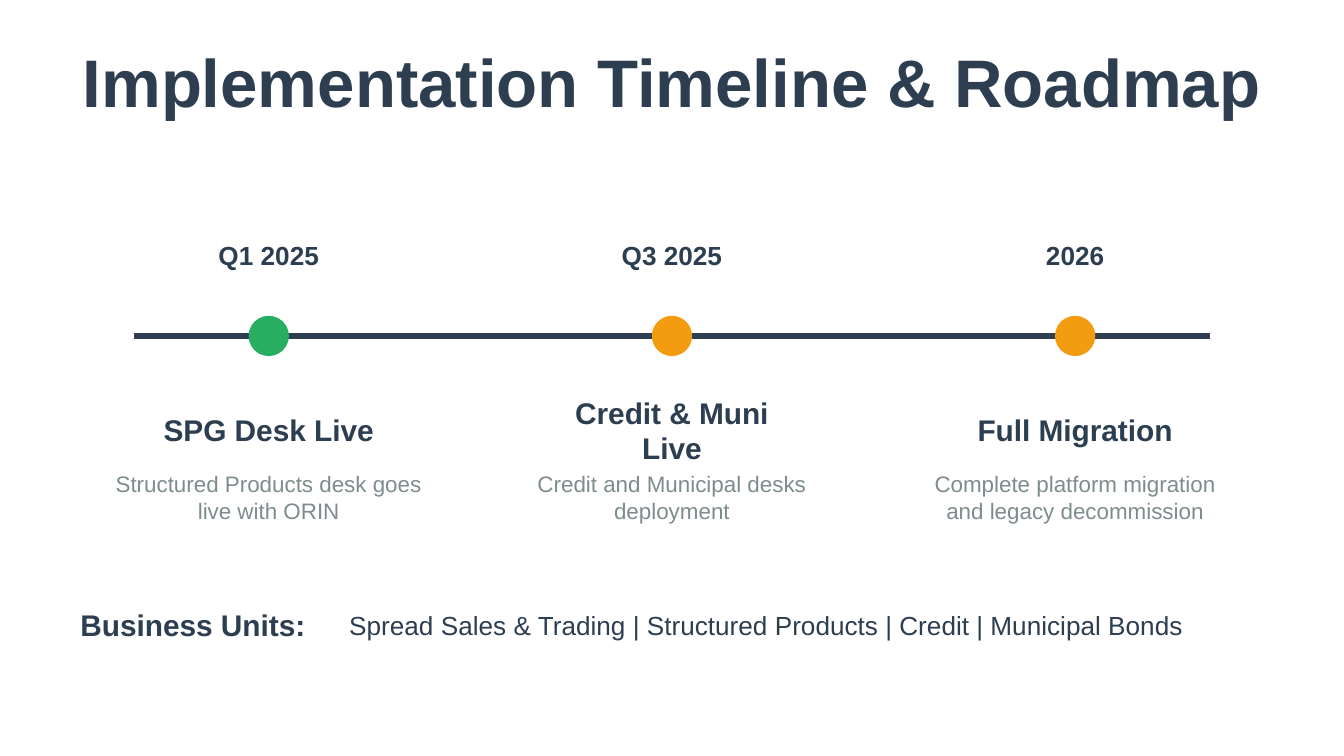
from lxml import etree
from pptx import Presentation
from pptx.dml.color import RGBColor
from pptx.enum import shapes, text
from pptx.oxml import ns
from pptx.util import Inches, Pt

COLORS = {
    "navy": "2C3E50",
    "grey": "7F8C8D",
    "done": "27AE60",
    "planned": "F39C12",
}

# Widescreen 16:9 slide
prs = Presentation()
prs.slide_width = Inches(10)
prs.slide_height = Inches(10 * 9 / 16)
slide = prs.slides.add_slide(prs.slide_layouts[5])


def write(words, left, top, width, height, size=14, color="navy", bold=True,
          align=text.PP_ALIGN.CENTER, box=None):
    """Place one line of text in a new text box, or in the given one."""
    box = box or slide.shapes.add_textbox(0, 0, 0, 0)
    box.left, box.top = Inches(left), Inches(top)
    box.width, box.height = Inches(width), Inches(height)
    frame = box.text_frame
    frame.word_wrap = True
    frame.auto_size = text.MSO_AUTO_SIZE.NONE
    frame.vertical_anchor = text.MSO_ANCHOR.MIDDLE
    paragraph = frame.paragraphs[0]
    paragraph.alignment = align
    run = paragraph.add_run()
    run.text = words
    run.font.name, run.font.size, run.font.bold = "Arial", Pt(size), bold
    run.font.color.rgb = RGBColor.from_string(COLORS[color])


# Title
write("Implementation Timeline & Roadmap", 0.5, 0.3, 9, 0.6, size=36,
      box=slide.shapes.title)

# Timeline axis
axis_y = 2.5
axis = slide.shapes.add_connector(
    shapes.MSO_CONNECTOR.STRAIGHT,
    Inches(1), Inches(axis_y), Inches(9), Inches(axis_y))
axis.line.color.rgb = RGBColor.from_string(COLORS["navy"])
axis.line.width = Pt(3)
etree.SubElement(axis._element.spPr, ns.qn("a:effectLst"))

# Milestones, evenly spaced and centred on the axis
milestones = [
    ("Q1 2025", "SPG Desk Live",
     "Structured Products desk goes live with ORIN", "done"),
    ("Q3 2025", "Credit & Muni Live",
     "Credit and Municipal desks deployment", "planned"),
    ("2026", "Full Migration",
     "Complete platform migration and legacy decommission", "planned"),
]
dot_size = 0.3
for i, (date, heading, detail, status) in enumerate(milestones):
    center = 2 + 3 * i
    dot = slide.shapes.add_shape(
        shapes.MSO_SHAPE.OVAL,
        Inches(center - dot_size / 2), Inches(axis_y - dot_size / 2),
        Inches(dot_size), Inches(dot_size))
    dot.shadow.inherit = False
    dot.fill.solid()
    dot.fill.fore_color.rgb = RGBColor.from_string(COLORS[status])
    dot.line.fill.background()
    write(date, center - 0.75, 1.7, 1.5, 0.4)
    write(heading, center - 1, 3, 2, 0.4, size=16)
    write(detail, center - 1.25, 3.4, 2.5, 0.6, size=12, color="grey",
          bold=False)

# Business units
write("Business Units:", 0.5, 4.5, 2, 0.3, size=16, align=text.PP_ALIGN.LEFT)
write("Spread Sales & Trading | Structured Products | Credit | Municipal Bonds",
      2.5, 4.5, 7, 0.3, bold=False, align=text.PP_ALIGN.LEFT)

prs.save("out.pptx")
